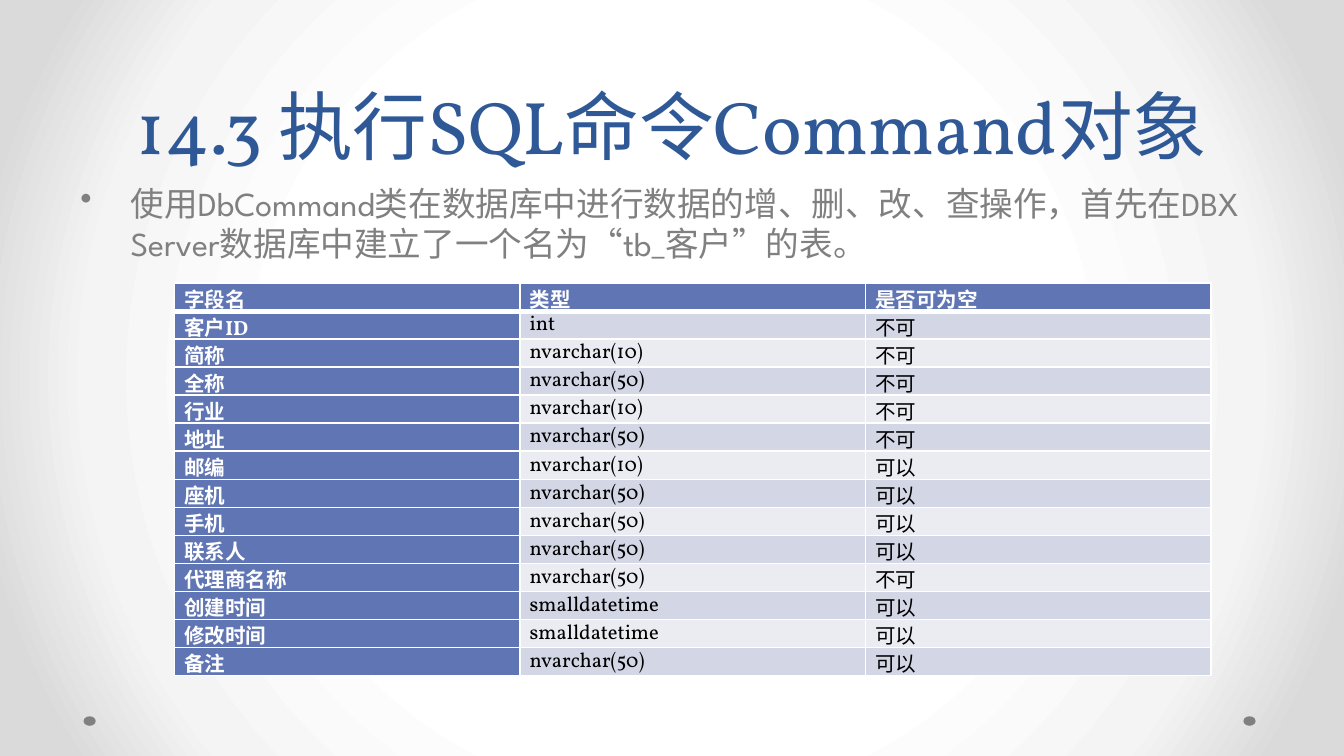
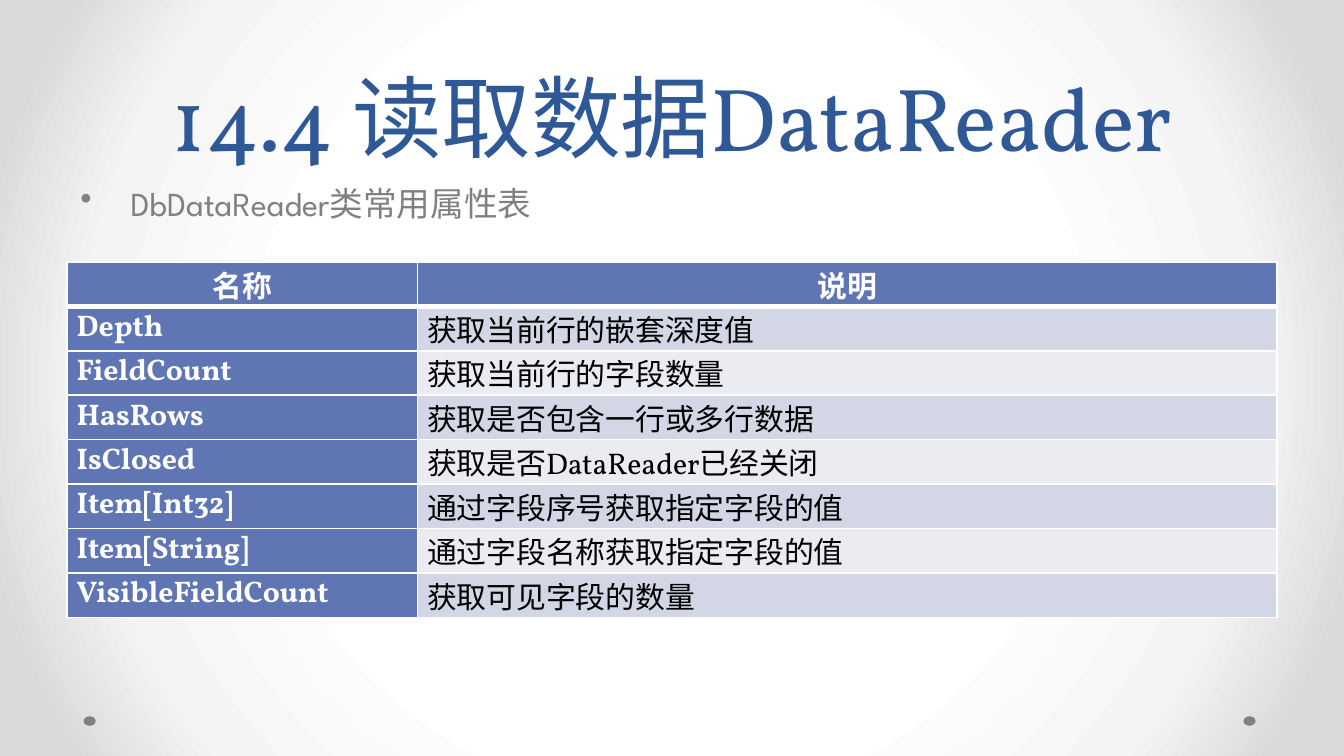
from dataclasses import dataclass

from pptx import Presentation
from pptx.dml.color import RGBColor
from pptx.enum.shapes import MSO_SHAPE as Shape
from pptx.enum.text import MSO_ANCHOR as Anchor, PP_ALIGN as Align
from pptx.oxml import parse_xml
from pptx.oxml.ns import nsdecls
from pptx.util import Cm, Pt


@dataclass(frozen=True)
class Theme:
    # Colours
    title: str = "2F5897"
    muted: str = "808080"
    header: str = "6076B4"
    bands: tuple = ("D2D6E5", "EAECF2")
    white: str = "FFFFFF"
    black: str = "000000"
    backdrop: tuple = ((50, "FFFFFF"), (76, "F4F4F4"), (92, "DADADA"))
    # Fonts and sizes in points
    serif: str = "Vollkorn"
    sans: str = "League Spartan"
    title_line: int = 58
    body_size: int = 18
    # Table rules in points
    rule: int = 1
    header_rule: int = 3


def write_text(frame, text, *, size, font, color, bold=False, align=Align.LEFT,
               anchor=Anchor.TOP, line=None, bullet_indent=None):
    """Write one formatted paragraph into a text frame."""
    frame.word_wrap = True
    frame.vertical_anchor = anchor
    paragraph = frame.paragraphs[0]
    paragraph.text = text
    paragraph.alignment = align
    if line:
        paragraph.line_spacing = Pt(line)
    if bullet_indent:
        properties = paragraph._p.get_or_add_pPr()
        properties.set("marL", str(bullet_indent))
        properties.set("indent", str(-bullet_indent))
        properties.append(parse_xml(f'<a:buChar {nsdecls("a")} char="•"/>'))
    style = paragraph.runs[0].font
    style.size, style.name, style.bold = Pt(size), font, bold
    style.color.rgb = RGBColor.from_string(color)


class Deck:
    def __init__(self, theme):
        self.theme = theme
        self.presentation = Presentation()
        self.presentation.slide_width = Cm(25.4)
        self.presentation.slide_height = Cm(14.29)
        self.slide = None

    def add_slide(self, title, title_size, body):
        """Start a slide with the shared backdrop, dots, title and bullet."""
        self.slide = self.presentation.slides.add_slide(
            self.presentation.slide_layouts[6])
        self.backdrop()
        for left in (23.5, 1.58):
            self.dot(left)
        theme = self.theme
        self.text(0, 3.33, title, size=title_size, font=theme.serif,
                  color=theme.title, align=Align.CENTER, anchor=Anchor.BOTTOM,
                  line=theme.title_line)
        self.text(3.33, 9.42, body, size=theme.body_size, font=theme.sans,
                  color=theme.muted, bullet_indent=Cm(0.95))

    def backdrop(self):
        self.slide.background.fill.gradient()
        gradient = self.slide.element.xpath(".//a:gradFill")[0]
        stops = "".join(
            f'<a:gs pos="{position * 1000}"><a:srgbClr val="{color}"/></a:gs>'
            for position, color in self.theme.backdrop)
        radial = parse_xml(
            f'<a:gradFill {nsdecls("a")} rotWithShape="1">'
            f'<a:gsLst>{stops}</a:gsLst><a:path path="circle">'
            '<a:fillToRect l="50000" t="50000" r="50000" b="50000"/>'
            '</a:path></a:gradFill>')
        gradient.getparent().replace(gradient, radial)

    def dot(self, left):
        shape = self.slide.shapes.add_shape(
            Shape.OVAL, Cm(left), Cm(13.54), Cm(0.23), Cm(0.18))
        shape.shadow.inherit = False
        shape.fill.solid()
        shape.fill.fore_color.rgb = RGBColor.from_string(self.theme.muted)
        shape.line.fill.background()

    def text(self, top, height, content, **text_format):
        box = self.slide.shapes.add_textbox(
            Cm(1.27), Cm(top), Cm(22.86), Cm(height))
        write_text(box.text_frame, content, **text_format)

    def table(self, left, top, widths, row_height, rows, size,
              anchor=Anchor.TOP, header_align=Align.LEFT):
        """Add a table with a dark header row and first column."""
        theme = self.theme
        table = self.slide.shapes.add_table(
            len(rows), len(widths), Cm(left), Cm(top),
            Cm(sum(widths)), Cm(row_height * len(rows))).table
        for column, width in zip(table.columns, widths):
            column.width = Cm(width)
        for row_index, row in enumerate(rows):
            table.rows[row_index].height = Cm(row_height)
            for column_index, content in enumerate(row):
                cell = table.cell(row_index, column_index)
                is_header = row_index == 0
                dark = is_header or column_index == 0
                band = theme.bands[(row_index - 1) % 2]
                cell.margin_left = cell.margin_right = Cm(0.18)
                cell.margin_top = cell.margin_bottom = 0
                cell.fill.solid()
                cell.fill.fore_color.rgb = RGBColor.from_string(
                    theme.header if dark else band)
                write_text(cell.text_frame, content, size=size,
                           font=theme.serif, bold=dark,
                           color=theme.white if dark else theme.black,
                           align=header_align if is_header else Align.LEFT)
                cell.vertical_anchor = anchor
                self.borders(cell, row_index)

    def borders(self, cell, row_index):
        """Rule a cell in white, thicker below the header row."""
        theme = self.theme
        widths = {
            "lnL": theme.rule,
            "lnR": theme.rule,
            "lnT": theme.header_rule if row_index == 1 else theme.rule,
            "lnB": theme.header_rule if row_index == 0 else theme.rule,
        }
        properties = cell._tc.get_or_add_tcPr()
        for position, (side, width) in enumerate(widths.items()):
            properties.insert(position, parse_xml(
                f'<a:{side} {nsdecls("a")} w="{Pt(width)}"><a:solidFill>'
                f'<a:srgbClr val="{theme.white}"/></a:solidFill></a:{side}>'))


def main():
    deck = Deck(Theme())

    # Command objects and the customer table
    deck.add_slide(
        "14.3 执行SQL命令Command对象", 40,
        "使用DbCommand类在数据库中进行数据的增、删、改、查操作，"
        "首先在DBX Server数据库中建立了一个名为“tb_客户”的表。")
    customer_fields = [
        ("字段名", "类型", "是否可为空"),
        ("客户ID", "int", "不可"),
        ("简称", "nvarchar(10)", "不可"),
        ("全称", "nvarchar(50)", "不可"),
        ("行业", "nvarchar(10)", "不可"),
        ("地址", "nvarchar(50)", "不可"),
        ("邮编", "nvarchar(10)", "可以"),
        ("座机", "nvarchar(50)", "可以"),
        ("手机", "nvarchar(50)", "可以"),
        ("联系人", "nvarchar(50)", "可以"),
        ("代理商名称", "nvarchar(50)", "不可"),
        ("创建时间", "smalldatetime", "可以"),
        ("修改时间", "smalldatetime", "可以"),
        ("备注", "nvarchar(50)", "可以"),
    ]
    deck.table(3.3, 5.35, [6.53] * 3, 0.53, customer_fields, size=11)

    # DataReader properties
    deck.add_slide("14.4 读取数据DataReader", 48, "DbDataReader类常用属性表")
    reader_properties = [
        ("名称", "说明"),
        ("Depth", "获取当前行的嵌套深度值"),
        ("FieldCount", "获取当前行的字段数量"),
        ("HasRows", "获取是否包含一行或多行数据"),
        ("IsClosed", "获取是否DataReader已经关闭"),
        ("Item[Int32]", "通过字段序号获取指定字段的值"),
        ("Item[String]", "通过字段名称获取指定字段的值"),
        ("VisibleFieldCount", "获取可见字段的数量"),
    ]
    deck.table(1.27, 4.95, [6.62, 16.24], 0.84, reader_properties, size=16,
               anchor=Anchor.MIDDLE, header_align=Align.CENTER)

    deck.presentation.save("out.pptx")


if __name__ == "__main__":
    main()
